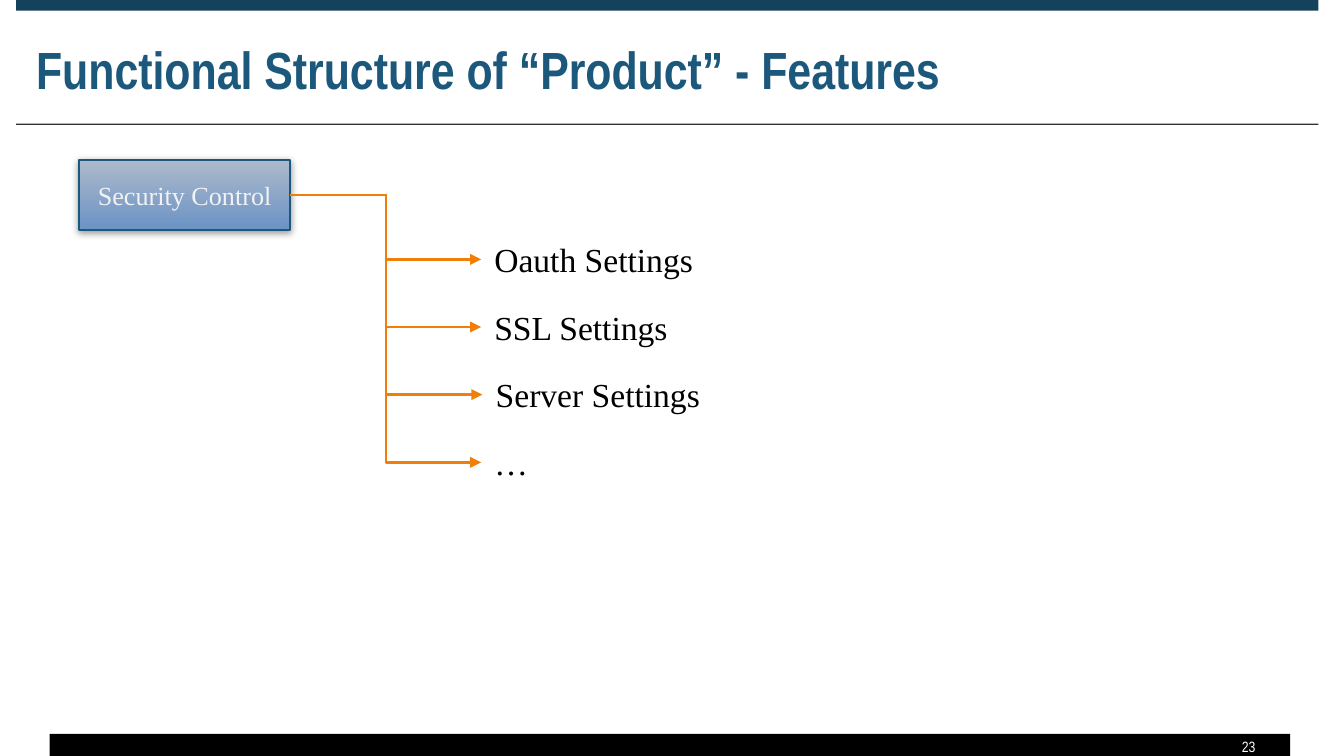
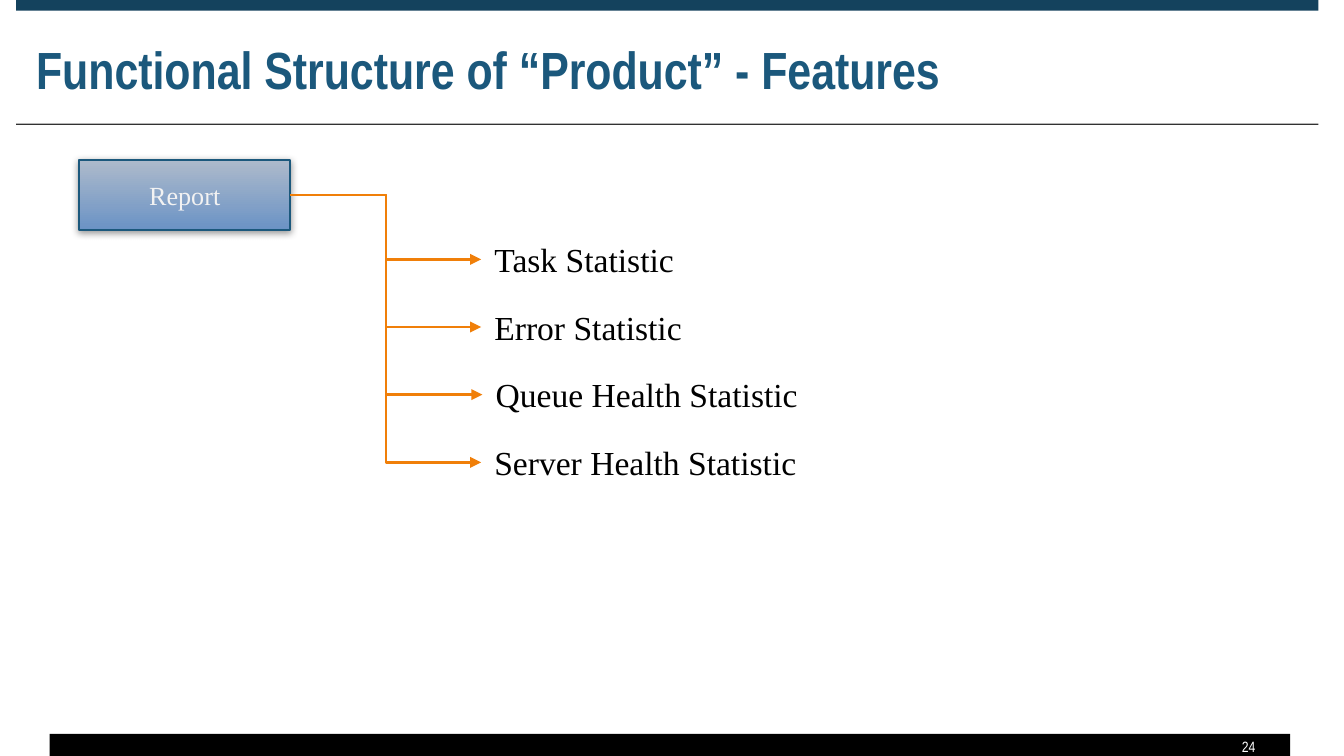
from dataclasses import dataclass

import pptx
import pptx.dml.color
import pptx.enum.shapes
import pptx.enum.text
import pptx.oxml
import pptx.oxml.ns
import pptx.util
from pptx.util import Inches

ALIGN = pptx.enum.text.PP_ALIGN
ANCHOR = pptx.enum.text.MSO_ANCHOR


@dataclass(frozen=True)
class Theme:
    heading_font: str = "Arial Narrow"
    body_font: str = "Times New Roman"
    title_size: float = 28
    label_size: float = 18
    module_size: float = 14
    number_size: float = 8
    line_width: float = 1.25
    title: str = "1B587C"
    top_band: str = "14425D"
    rule: str = "323232"
    footer: str = "000000"
    label: str = "000000"
    number: str = "FFFFFF"
    module_text: str = "F2F2F2"
    module_top: str = "ADBACB"
    module_bottom: str = "6B93C5"
    branch: str = "F07F09"


THEME = Theme()
TITLE = "Functional Structure of “Product” - Features"
FIRST_TOP, LAST_TOP = 1.73, 3.24
LABEL_LEFTS = (3.58, 3.58, 3.59, 3.58)

# Slide number, module, and its features with the width of each label
SLIDES = (
    (23, "Security Control", (
        ("Oauth Settings", 1.7),
        ("SSL Settings", 1.5),
        ("Server Settings", 1.85),
        ("…", 0.45),
    )),
    (24, "Report", (
        ("Task Statistic", 1.55),
        ("Error Statistic", 1.61),
        ("Queue Health Statistic", 2.47),
        ("Server Health Statistic", 2.47),
    )),
)


def rgb(value):
    return pptx.dml.color.RGBColor.from_string(value)


def write(frame, text, font, size, color, bold=False, align=ALIGN.LEFT,
          anchor=ANCHOR.TOP):
    frame.vertical_anchor = anchor
    paragraph = frame.paragraphs[0]
    paragraph.alignment = align
    run = paragraph.add_run()
    run.text = text
    run.font.name = font
    run.font.size = pptx.util.Pt(size)
    run.font.bold = bold
    run.font.color.rgb = rgb(color)


def add_rectangle(slide, left, top, width, height):
    rectangle = slide.shapes.add_shape(
        pptx.enum.shapes.MSO_SHAPE.RECTANGLE,
        Inches(left), Inches(top), Inches(width), Inches(height))
    rectangle.shadow.inherit = False
    return rectangle


def add_band(slide, left, top, width, height, color):
    band = add_rectangle(slide, left, top, width, height)
    band.fill.solid()
    band.fill.fore_color.rgb = rgb(color)
    band.line.fill.background()


def add_text_box(slide, left, top, width, height):
    return slide.shapes.add_textbox(
        Inches(left), Inches(top), Inches(width), Inches(height))


def add_frame(slide, number):
    """Add the bands, title and slide number that every slide shares."""
    add_band(slide, 0.37, 5.46, 9.23, 0.19, THEME.footer)
    add_band(slide, 0.12, 0, 9.69, 0.08, THEME.top_band)
    add_band(slide, 0.12, 0.92, 9.69, 0.01, THEME.rule)

    title = add_text_box(slide, 0.17, 0.21, 9.61, 0.58).text_frame
    title.word_wrap = True
    write(title, TITLE, THEME.heading_font, THEME.title_size, THEME.title,
          bold=True, anchor=ANCHOR.BOTTOM)

    page = add_text_box(slide, 8.61, 5.46, 0.83, 0.19).text_frame
    page.word_wrap = True
    page.margin_top = page.margin_bottom = 0
    write(page, str(number), THEME.heading_font, THEME.number_size,
          THEME.number, align=ALIGN.RIGHT, anchor=ANCHOR.MIDDLE)


def add_soft_shadow(shape):
    effects = shape._element.spPr.find(pptx.oxml.ns.qn("a:effectLst"))
    effects.append(pptx.oxml.parse_xml(
        f'<a:outerShdw {pptx.oxml.ns.nsdecls("a")} blurRad="50800" '
        'dist="12700" dir="5280000" rotWithShape="0">'
        '<a:srgbClr val="000000"><a:alpha val="40000"/></a:srgbClr>'
        '</a:outerShdw>'))


def add_module(slide, name):
    module = add_rectangle(slide, 0.59, 1.19, 1.57, 0.52)
    module.fill.gradient()
    module.fill.gradient_angle = 270
    colors = (THEME.module_top, THEME.module_bottom)
    for position, (stop, color) in enumerate(
            zip(module.fill.gradient_stops, colors)):
        stop.position = position
        stop.color.rgb = rgb(color)
    module.line.color.rgb = rgb(THEME.title)
    module.line.width = pptx.util.Pt(THEME.line_width)
    add_soft_shadow(module)
    module.text_frame.word_wrap = True
    write(module.text_frame, name, THEME.body_font, THEME.module_size,
          THEME.module_text, align=ALIGN.CENTER, anchor=ANCHOR.MIDDLE)
    return module


def add_feature(slide, text, left, top, width):
    feature = add_text_box(slide, left, top, width, 0.4)
    feature.text_frame.word_wrap = False
    feature.text_frame.auto_size = (
        pptx.enum.text.MSO_AUTO_SIZE.SHAPE_TO_FIT_TEXT)
    write(feature.text_frame, text, THEME.body_font, THEME.label_size,
          THEME.label)
    return feature


def add_branch(slide, module, feature):
    """Join a module's right side to a feature's left side with an arrow."""
    branch = slide.shapes.add_connector(
        pptx.enum.shapes.MSO_CONNECTOR.ELBOW, 0, 0, 0, 0)
    branch.begin_connect(module, 3)
    branch.end_connect(feature, 1)
    branch.line.color.rgb = rgb(THEME.branch)
    branch.line.width = pptx.util.Pt(THEME.line_width)
    namespace = pptx.oxml.ns.nsdecls("a")
    branch.line._get_or_add_ln().append(
        pptx.oxml.parse_xml(f'<a:tailEnd {namespace} type="triangle"/>'))
    branch._element.spPr.append(
        pptx.oxml.parse_xml(f'<a:effectLst {namespace}/>'))


def add_feature_tree(slide, module_name, features):
    module = add_module(slide, module_name)
    pitch = (LAST_TOP - FIRST_TOP) / (len(features) - 1)
    for row, ((text, width), left) in enumerate(zip(features, LABEL_LEFTS)):
        feature = add_feature(slide, text, left, FIRST_TOP + row * pitch, width)
        add_branch(slide, module, feature)


def main():
    deck = pptx.Presentation()
    deck.slide_width = Inches(10)
    deck.slide_height = deck.slide_width * 9 // 16
    blank = deck.slide_layouts[6]
    for number, module_name, features in SLIDES:
        slide = deck.slides.add_slide(blank)
        add_frame(slide, number)
        add_feature_tree(slide, module_name, features)
    deck.save("out.pptx")


if __name__ == "__main__":
    main()
